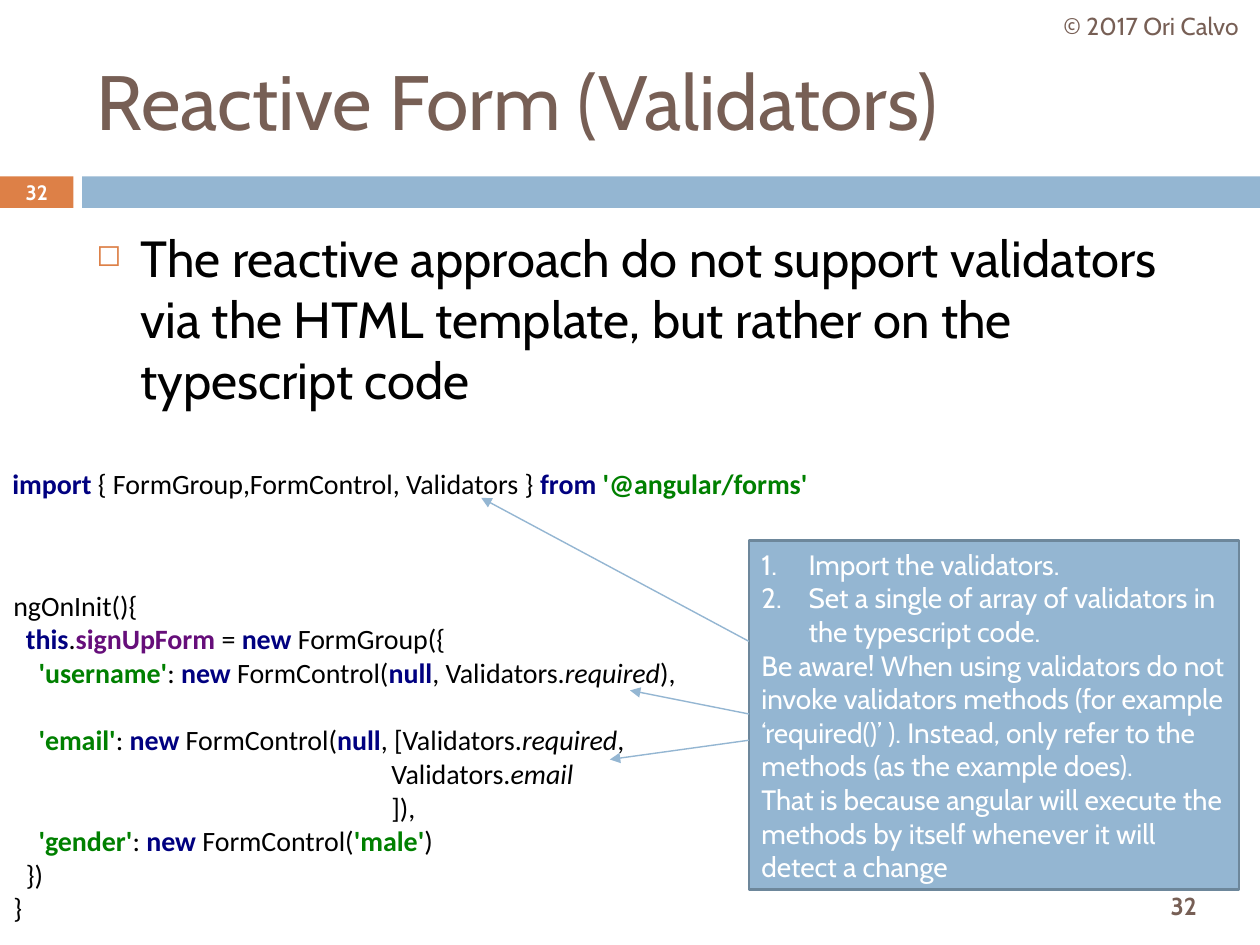
import lxml.etree
import pptx
import pptx.dml.color
import pptx.enum.shapes
import pptx.enum.text
import pptx.oxml.ns
import pptx.util

Pt = pptx.util.Pt
RGB = pptx.dml.color.RGBColor
ALIGN = pptx.enum.text.PP_ALIGN
ANCHOR = pptx.enum.text.MSO_ANCHOR
RECT = pptx.enum.shapes.MSO_SHAPE.RECTANGLE
LINE = pptx.enum.shapes.MSO_CONNECTOR.STRAIGHT

BROWN = RGB(0x77, 0x5F, 0x55)
ORANGE = RGB(0xDD, 0x80, 0x47)
BLUE = RGB(0x94, 0xB6, 0xD2)
SLATE = RGB(0x6D, 0x87, 0x9B)
WHITE = RGB(0xFF, 0xFF, 0xFF)
BLACK = RGB(0, 0, 0)
NAVY = RGB(0, 0, 0x80)
GREEN = RGB(0, 0x80, 0)
PURPLE = RGB(0x66, 0x0E, 0x7A)

CODE = {"name": "Calibri", "size": Pt(16)}
PLAIN = {"color": BLACK, "bold": False}
KEY = {"color": NAVY, "bold": True}
TEXT = {"color": GREEN, "bold": True}
FIELD = {"color": PURPLE, "bold": True}
SLANT = {"color": BLACK, "bold": False, "italic": True}

IMPORT = [(0, 0, [("import ", KEY), ("{ FormGroup,FormControl, Validators } ", PLAIN),
                  ("from ", KEY), ("'@angular/forms'", TEXT)])]


def control(name, *rest):
    """Return the tokens of one form control line."""
    return [("    ", PLAIN), (name, TEXT), (": ", PLAIN), ("new ", KEY),
            ("FormControl(", PLAIN), *rest]


INIT = [
    (0, 0, [("ngOnInit(){", PLAIN)]),
    (0, 0, [("  ", PLAIN), ("this", KEY), (".", PLAIN), ("signUpForm ", FIELD),
            ("= ", PLAIN), ("new ", KEY), ("FormGroup({", PLAIN)]),
    (0, 0, control("'username'", ("null", KEY), (", Validators.", PLAIN),
                   ("required", SLANT), ("),", PLAIN))),
    (0, 19.5, control("'email'", ("null", KEY), (", [Validators.", PLAIN),
                      ("required", SLANT), (",", PLAIN))),
    (216, 0, [("Validators.", PLAIN), ("email", SLANT)]),
    (216, 0, [("]),", PLAIN)]),
    (0, 0, control("'gender'", ("'male'", TEXT), (")", PLAIN))),
    (0, 0, [("  })", PLAIN)]),
    (0, 0, [("}", PLAIN)]),
]

STEPS = ["Import the validators.",
         "Set a single of array of validators in the typescript code."]
NOTES = [
    "Be aware! When using validators do not invoke validators methods (for example "
    "‘required()’ ). Instead, only refer to the methods (as the example does).",
    "That is because angular will execute the methods by itself whenever it will "
    "detect a change",
]


def style(thing, look):
    """Set each value of a look on an object."""
    for key, value in look.items():
        if key == "color":
            thing.color.rgb = value
        else:
            setattr(thing, key, value)


def font(size, color, **more):
    """Return a look for slide text."""
    return {"name": "Cabin", "size": Pt(size), "color": color, **more}


def add(node, tag, **values):
    """Append a drawing element with its values."""
    child = lxml.etree.SubElement(node, pptx.oxml.ns.qn("a:" + tag))
    for key, value in values.items():
        child.set(key, str(value))
    return child


def indent(para, left, hang=0):
    """Set the left margin and hanging indent, and return the properties."""
    props = para._p.get_or_add_pPr()
    props.set("marL", str(Pt(left)))
    props.set("indent", str(Pt(-hang)))
    return props


def frame(shape, anchor):
    """Set up the text frame of a shape."""
    style(shape.text_frame, {"word_wrap": True, "vertical_anchor": anchor,
                             "auto_size": pptx.enum.text.MSO_AUTO_SIZE.NONE})
    return shape.text_frame


def write(para, text, look, align=ALIGN.LEFT):
    """Write one run in a paragraph."""
    para.alignment = align
    run = para.add_run()
    run.text = text
    style(run.font, look)


def paras(body):
    """Yield the first paragraph, then new ones."""
    yield body.paragraphs[0]
    while True:
        yield body.add_paragraph()


def text_box(slide, box, anchor=ANCHOR.MIDDLE):
    """Add a text box and return its frame."""
    return frame(slide.shapes.add_textbox(*map(Pt, box)), anchor)


def panel(slide, box, fill, edge=None):
    """Add a filled block."""
    shape = slide.shapes.add_shape(RECT, *map(Pt, box))
    shape.shadow.inherit = False
    shape.fill.solid()
    shape.fill.fore_color.rgb = fill
    if edge is None:
        shape.line.fill.background()
    else:
        style(shape.line, {"color": edge, "width": Pt(1.5)})
    return shape


def label(slide, box, text, look):
    """Add one centred line of text."""
    write(text_box(slide, box).paragraphs[0], text, look, ALIGN.CENTER)


def heading(slide, box, text):
    """Place the title."""
    title = slide.shapes.title
    style(title, dict(zip(("left", "top", "width", "height"), map(Pt, box))))
    write(frame(title, ANCHOR.MIDDLE).paragraphs[0], text, font(44, BROWN))


def band(slide, box, number):
    """Draw the band with its number block."""
    left, top, width, height = box
    block, gap = 42, 5
    panel(slide, (left, top, block, height), ORANGE)
    start = block + gap
    panel(slide, (left + start, top, width - start, height), BLUE)
    label(slide, (left, top - 0.7, block, height + 1.4), number,
          font(11.9, WHITE, bold=True))


def point(slide, box, text):
    """Add the bullet point."""
    para = text_box(slide, box, ANCHOR.TOP).paragraphs[0]
    props = indent(para, 25.2, 25.2)
    add(add(props, "buClr"), "srgbClr", val=ORANGE)
    add(props, "buSzPct", val=60000)
    add(props, "buChar", char="◻")
    write(para, text, font(29, BLACK))


def code(slide, box, lines):
    """Add a code block, one paragraph per line."""
    body = text_box(slide, box, ANCHOR.TOP)
    for (left, gap, tokens), para in zip(lines, paras(body)):
        indent(para, left)
        if gap:
            para.space_before = Pt(gap)
        for text, look in tokens:
            write(para, text, CODE | look)


def arrow(slide, start, end):
    """Draw an arrow from start to end."""
    line = slide.shapes.add_connector(LINE, *map(Pt, start + end))
    style(line.line, {"width": Pt(0.79)})
    line.line.color.rgb = BLUE
    add(line.line._get_or_add_ln(), "tailEnd", type="triangle")
    add(line._element.spPr, "effectLst")


def callout(slide, box):
    """Add the note block and its arrows."""
    left, top = box[:2]
    body = frame(panel(slide, box, BLUE, SLATE), ANCHOR.MIDDLE)
    for text, para in zip(STEPS + NOTES, paras(body)):
        if text in STEPS:
            add(indent(para, 27, 27), "buAutoNum", type="arabicPeriod")
        write(para, text, font(16, WHITE))
    for drop, across, down in ((57.5, -153, -24.5), (114, -79.5, 125), (99, -68, 85.5)):
        arrow(slide, (left, top + drop), (left + across, top + down))


def main():
    """Build and save the slide."""
    deck = pptx.Presentation()
    style(deck, {"slide_width": Pt(720), "slide_height": Pt(540)})
    slide = deck.slides.add_slide(deck.slide_layouts[5])
    heading(slide, (48, 18, 642, 78), "Reactive Form (Validators)")
    band(slide, (0, 100.8, 720, 18), "32")
    label(slide, (595.5, 0, 124.5, 29), "© 2017 Ori Calvo", font(14, BROWN))
    label(slide, (643.5, 502.5, 66, 30), "32", font(14, BROWN, bold=True))
    point(slide, (48, 126, 642, 113), "The reactive approach do not support validators "
          "via the HTML template, but rather on the typescript code")
    code(slide, (0.5, 332.5, 402.5, 201), INIT)
    code(slide, (0, 263, 498, 26.5), IMPORT)
    callout(slide, (428, 309, 280, 199.5))
    deck.save("out.pptx")


if __name__ == "__main__":
    main()
